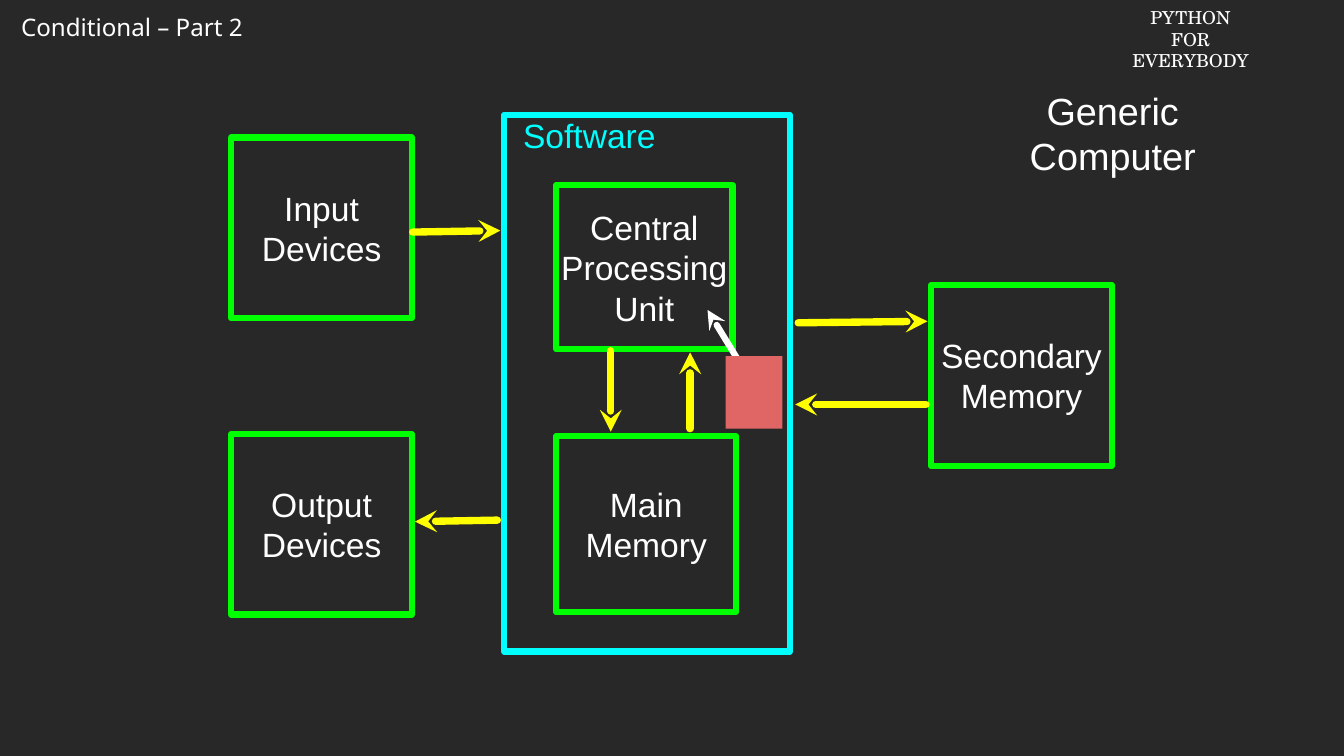
from dataclasses import dataclass

from lxml.etree import SubElement
from pptx import Presentation
from pptx.dml.color import RGBColor
from pptx.enum.shapes import MSO_CONNECTOR as Conn, MSO_SHAPE as Kind
from pptx.enum.text import MSO_ANCHOR as Anchor, MSO_AUTO_SIZE as Fit, PP_ALIGN as Align
from pptx.oxml.ns import qn
from pptx.util import Inches, Pt


@dataclass(frozen=True)
class Theme:
    back: str = "282828"
    text: str = "FFFFFF"
    unit: str = "00FF00"
    soft: str = "00FFFF"
    flow: str = "FFFF00"
    note: str = "E06666"
    sans: str = "Arial"
    head: str = "Noto Sans"
    serif: str = "TeX Gyre Schola"
    title: int = 36
    label: int = 32
    topic: int = 23
    mark: int = 17
    edge: int = 6
    arrow: int = 7


T = Theme()


def rgb(code):
    return RGBColor.from_string(code)


def write(frame, lines, size, font=T.sans, color=T.text, align=Align.CENTER,
          anchor=Anchor.MIDDLE, pad=0, wrap=True):
    """Fill a text frame, one paragraph for each line."""
    frame.auto_size = Fit.NONE
    frame.word_wrap = wrap
    frame.vertical_anchor = anchor
    frame.margin_left = frame.margin_right = Inches(pad)
    frame.margin_top = frame.margin_bottom = Inches(pad / 2)
    for i, line in enumerate(lines):
        para = frame.add_paragraph() if i else frame.paragraphs[0]
        para.alignment = align
        run = para.add_run()
        run.text = line
        run.font.name = font
        run.font.size = Pt(size)
        run.font.color.rgb = rgb(color)


def block(slide, x, y, w, h, line=None, fill=None):
    shape = slide.shapes.add_shape(Kind.RECTANGLE, Inches(x), Inches(y),
                                   Inches(w), Inches(h))
    shape.shadow.inherit = False
    if fill:
        shape.fill.solid()
        shape.fill.fore_color.rgb = rgb(fill)
    else:
        shape.fill.background()
    if line:
        shape.line.color.rgb = rgb(line)
        shape.line.width = Pt(T.edge)
    else:
        shape.line.fill.background()
    return shape


def unit(slide, x, y, w, h, *lines):
    write(block(slide, x, y, w, h, T.unit).text_frame, lines, T.label)


def arrow(slide, x1, y1, x2, y2, color=T.flow, width=T.arrow):
    """Round-ended line that points at its second end."""
    link = slide.shapes.add_connector(Conn.STRAIGHT, Inches(x1), Inches(y1),
                                      Inches(x2), Inches(y2))
    link.line.color.rgb = rgb(color)
    link.line.width = Pt(width)
    props = link._element.spPr
    line = props.find(qn("a:ln"))
    line.set("cap", "rnd")
    SubElement(line, qn("a:round"))
    SubElement(line, qn("a:tailEnd"), type="stealth")
    SubElement(props, qn("a:effectLst"))


def header(slide, x, y):
    """Topic on the left, course name on the right."""
    for dx, dy, w, h, lines, size, font, align in (
            (0, 0.08, 3.28, 0.49, ["Conditional – Part 2"],
             T.topic, T.head, Align.LEFT),
            (14.7, 0, 1.74, 0.95, ["PYTHON", "FOR", "EVERYBODY"],
             T.mark, T.serif, Align.CENTER)):
        box = slide.shapes.add_textbox(Inches(x + dx), Inches(y + dy),
                                       Inches(w), Inches(h))
        write(box.text_frame, lines, size, font, align=align,
              anchor=Anchor.TOP, pad=0.1, wrap=False)


def heading(slide, x, y, w, h):
    title = slide.shapes.title
    title.left, title.top = Inches(x), Inches(y)
    title.width, title.height = Inches(w), Inches(h)
    write(title.text_frame, ["Generic", "Computer"], T.title)


def core(slide, x, y, w, h):
    """Software frame with processor and memory inside."""
    frame = block(slide, x, y, w, h, T.soft).text_frame
    write(frame, ["Software"], T.label, color=T.soft, align=Align.LEFT,
          anchor=Anchor.TOP)
    frame.margin_left = Inches(0.25)
    unit(slide, x + 0.69, y + 0.93, 2.33, 2.17, "Central", "Processing", "Unit")
    unit(slide, x + 0.69, y + 4.25, 2.38, 2.33, "Main", "Memory")
    arrow(slide, x + 1.41, y + 3.12, x + 1.41, y + 4.19)
    arrow(slide, x + 2.46, y + 4.15, x + 2.46, y + 3.14)


def devices(slide, x, y, side):
    """Input above output, each linked to the core on the right."""
    low = y + 3.92
    unit(slide, x, y, side, side, "Input", "Devices")
    unit(slide, x, low, side, side, "Output", "Devices")
    arrow(slide, x + 2.4, y + 1.25, x + 3.56, y + 1.23)
    arrow(slide, x + 3.52, low + 1.14, x + 2.43, low + 1.16)


def store(slide, x, y, side):
    """Secondary memory, linked both ways to the core on the left."""
    unit(slide, x, y, side, side, "Secondary", "Memory")
    arrow(slide, x - 1.76, y + 0.5, x - 0.05, y + 0.48)
    arrow(slide, x - 0.07, y + 1.58, x - 1.8, y + 1.58)


def pointer(slide, x, y, w, h):
    """Red block with a white arrow to the processor."""
    arrow(slide, x + 0.23, y + 0.16, x - 0.24, y - 0.61, T.text, T.edge)
    block(slide, x, y, w, h, fill=T.note)


def main():
    deck = Presentation()
    deck.slide_width, deck.slide_height = Inches(17.78), Inches(10)
    slide = deck.slides.add_slide(deck.slide_layouts[5])
    slide.background.fill.solid()
    slide.background.fill.fore_color.rgb = rgb(T.back)
    header(slide, 0.18, 0.04)
    heading(slide, 13.6, 1.13, 2.24, 1.25)
    core(slide, 6.67, 1.52, 3.78, 7.1)
    devices(slide, 3.06, 1.82, 2.39)
    store(slide, 12.32, 3.77, 2.39)
    pointer(slide, 9.6, 4.71, 0.75, 0.96)
    deck.save("out.pptx")


if __name__ == "__main__":
    main()
